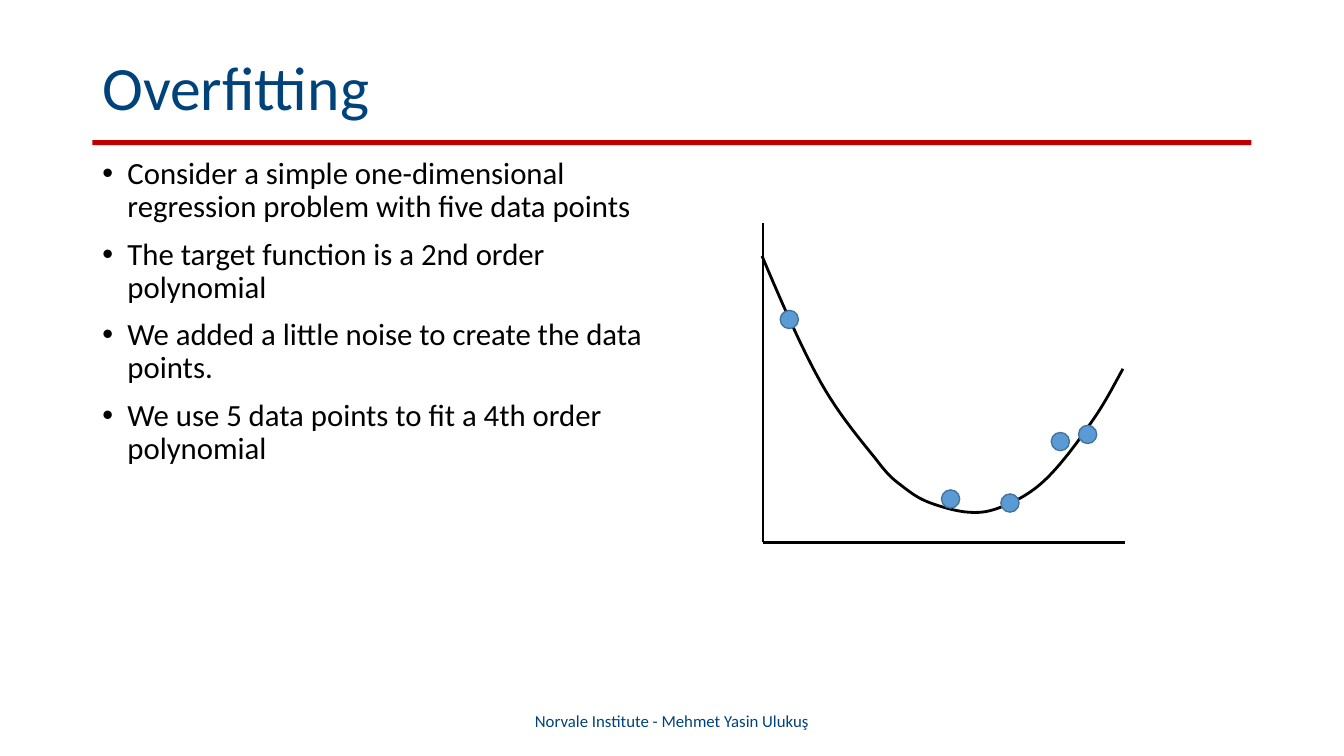
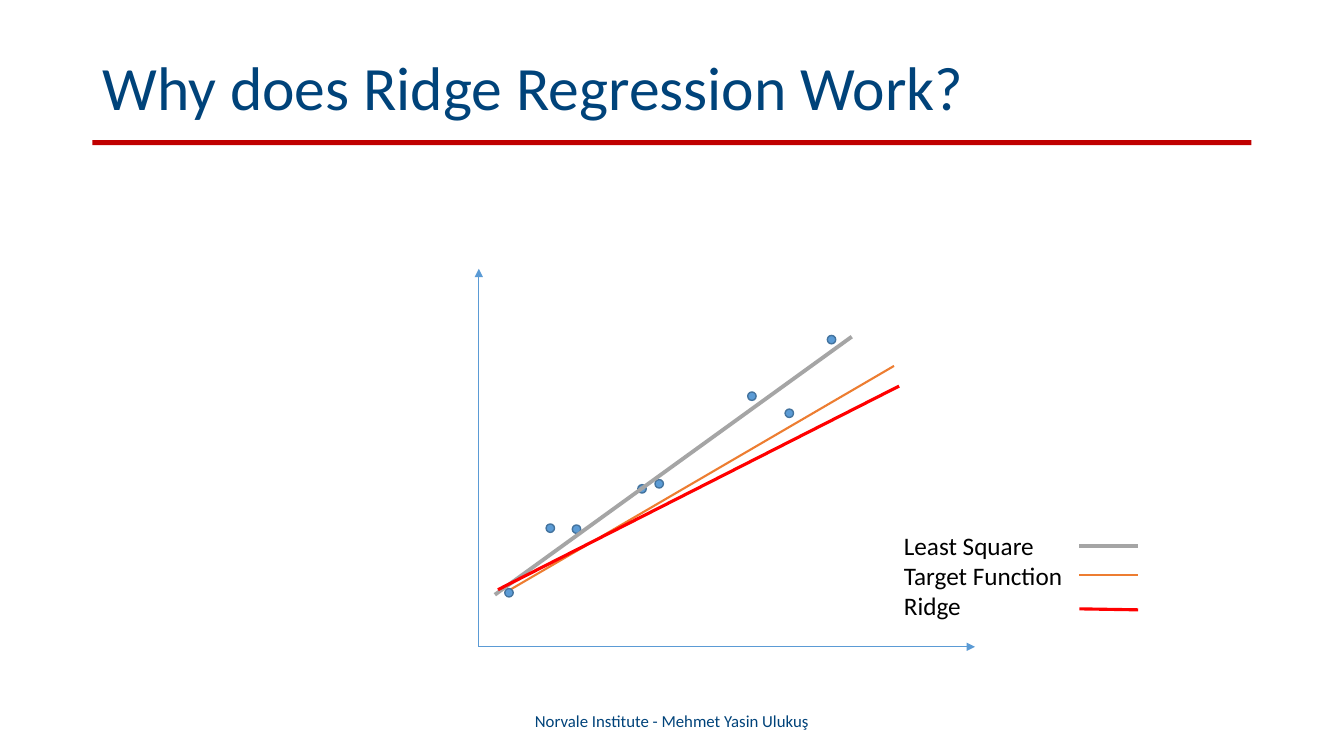
from lxml import etree
from pptx import Presentation
from pptx import util as u
from pptx.dml import color
from pptx.enum import shapes, text
from pptx.oxml import ns

BLACK, NAVY, CRIMSON = "000000", "00437A", "C00000"
BLUE, DOT_EDGE = "5B9BD5", "43739E"
GRAY, ORANGE, RED = "A5A5A5", "ED7D31", "FF0000"


def rgb(code):
    return color.RGBColor.from_string(code)


def bezier(p0, p1, p2, p3, steps=12):
    for i in range(1, steps + 1):
        t = i / steps
        s = 1 - t
        yield tuple(s**3 * a + 3 * s * s * t * b + 3 * s * t * t * c + t**3 * d
                    for a, b, c, d in zip(p0, p1, p2, p3))


class Deck:
    font = "Calibri"
    footer = "Norvale Institute - Mehmet Yasin Ulukuş"

    def __init__(self):
        self.prs = Presentation()
        self.prs.slide_width, self.prs.slide_height = u.Pt(960), u.Pt(540)
        self.slide = None

    def new_slide(self, title):
        self.slide = self.prs.slides.add_slide(self.prs.slide_layouts[6])
        self.shape(shapes.MSO_SHAPE.RECTANGLE, (66, 100, 828, 3.6), CRIMSON)
        self.text((66, 29, 828, 71), [title], 44, NAVY,
                  anchor=text.MSO_ANCHOR.MIDDLE, spacing=0.9)
        self.text((318, 500.4, 324, 28.8), [self.footer], 12, NAVY,
                  anchor=text.MSO_ANCHOR.MIDDLE, align=text.PP_ALIGN.CENTER)

    def text(self, box, lines, size, ink, anchor=text.MSO_ANCHOR.TOP,
             align=text.PP_ALIGN.LEFT, spacing=1.0, before=0, bullet=None):
        frame = self.slide.shapes.add_textbox(*map(u.Pt, box)).text_frame
        frame.word_wrap = True
        frame.vertical_anchor = anchor
        for i, line in enumerate(lines):
            para = frame.add_paragraph() if i else frame.paragraphs[0]
            para.alignment = align
            para.line_spacing = spacing
            para.space_before = u.Pt(before)
            if bullet:
                self.bullet(para, bullet)
            run = para.add_run()
            run.text = line
            run.font.name = self.font
            run.font.size = u.Pt(size)
            run.font.color.rgb = rgb(ink)

    def bullet(self, para, mark, indent=18):
        props = para._p.get_or_add_pPr()
        props.set("marL", str(u.Pt(indent)))
        props.set("indent", str(-u.Pt(indent)))
        etree.SubElement(props, ns.qn("a:buFont")).set("typeface", "Arial")
        etree.SubElement(props, ns.qn("a:buChar")).set("char", mark)

    def shape(self, kind, box, fill, edge=None):
        item = self.slide.shapes.add_shape(kind, *map(u.Pt, box))
        item.shadow.inherit = False
        item.fill.solid()
        item.fill.fore_color.rgb = rgb(fill)
        if edge:
            item.line.color.rgb = rgb(edge)
            item.line.width = u.Pt(1)
        else:
            item.line.fill.background()

    def dots(self, centers, size):
        for x, y in centers:
            self.shape(shapes.MSO_SHAPE.OVAL,
                       (x - size / 2, y - size / 2, size, size), BLUE, DOT_EDGE)

    def line(self, start, end, ink, width, arrow=False):
        item = self.slide.shapes.add_connector(
            shapes.MSO_CONNECTOR.STRAIGHT, *map(u.Pt, (*start, *end)))
        item.line.color.rgb = rgb(ink)
        item.line.width = u.Pt(width)
        if arrow:
            stroke = item.line._get_or_add_ln()
            etree.SubElement(stroke, ns.qn("a:tailEnd")).set("type", "triangle")
        etree.SubElement(item._element.spPr, ns.qn("a:effectLst"))

    def curve(self, knots, ink, width):
        points = [knots[0]]
        for i in range(0, len(knots) - 1, 3):
            points.extend(bezier(*knots[i:i + 4]))
        start, *rest = [(u.Pt(x), u.Pt(y)) for x, y in points]
        builder = self.slide.shapes.build_freeform(*start)
        builder.add_line_segments(rest, close=False)
        item = builder.convert_to_shape()
        item.shadow.inherit = False
        item.fill.background()
        item.line.color.rgb = rgb(ink)
        item.line.width = u.Pt(width)


def overfitting(deck):
    deck.new_slide("Overfitting")
    deck.text((66, 109.4, 404, 387.4), [
        "Consider a simple one-dimensional regression problem with five data points",
        "The target function is a 2nd order polynomial",
        "We added a little noise to create the data points.",
        "We use 5 data points to fit a 4th order polynomial",
    ], 22, BLACK, spacing=0.9, before=10, bullet="•")
    origin = (545, 387.4)
    for axis_end in [(545, 159), (803.5, 387.4)]:
        deck.line(origin, axis_end, BLACK, 2)
    deck.curve([
        (544.3, 182.9),
        (558, 215.3), (572.4, 248.4), (586.1, 272.9),
        (599.8, 297.4), (616.3, 316.1), (626.4, 329),
        (635.8, 341.3), (638.6, 342.7), (645.1, 347.8),
        (651.6, 352.8), (656.6, 356.4), (664.6, 359.3),
        (672.5, 362.2), (684.7, 365.8), (693.4, 366),
        (702, 366.5), (708.5, 365), (717.1, 361.4),
        (725.8, 357.8), (735.8, 352.8), (745.9, 343.4),
        (756.7, 333.4), (769.7, 316.1), (779, 302.4),
        (788.4, 289.4), (794.9, 276.5), (802.1, 263.5),
    ], BLACK, 2)
    deck.dots([(563.8, 228.2), (679, 356.4), (721.4, 359.3),
               (757.4, 315.4), (776.9, 310.3)], 13)


def ridge_regression(deck):
    deck.new_slide("Why does Ridge Regression Work?")
    origin = (342, 462)
    for axis_end in [(696.5, 462), (342, 192)]:
        deck.line(origin, axis_end, BLUE, 0.5, arrow=True)
    least_square, target, ridge = (GRAY, 2.75), (ORANGE, 1.5), (RED, 2.25)
    deck.line((360.7, 423.4), (638.6, 261.4), *target)
    deck.dots([(363.6, 423.4), (393.1, 377.3), (411.8, 378), (458.6, 349.2),
               (470.9, 345.6), (537.1, 283), (563.8, 295.2), (594, 242.6)], 6)
    deck.line((353.5, 424.8), (608.4, 240.5), *least_square)
    deck.line((355.7, 421.2), (642.2, 275.8), *ridge)
    deck.text((638.6, 375.1, 139, 72.7),
              ["Least Square", "Target Function", "Ridge"], 18, BLACK)
    for style, left_y, right_y in [(least_square, 390.2, 390.2),
                                   (target, 410.4, 410.4),
                                   (ridge, 434.9, 435.6)]:
        deck.line((771, left_y), (813, right_y), *style)


def main():
    deck = Deck()
    overfitting(deck)
    ridge_regression(deck)
    deck.prs.save("out.pptx")


if __name__ == "__main__":
    main()
